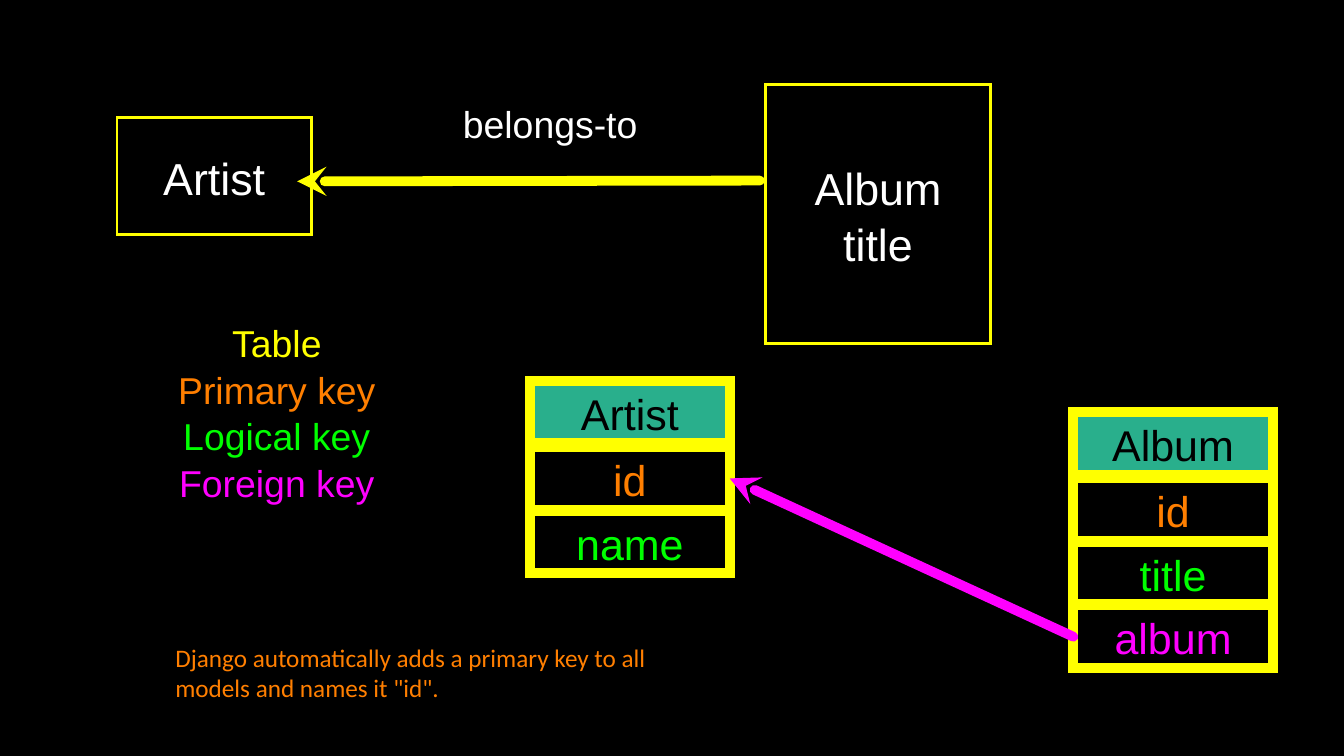
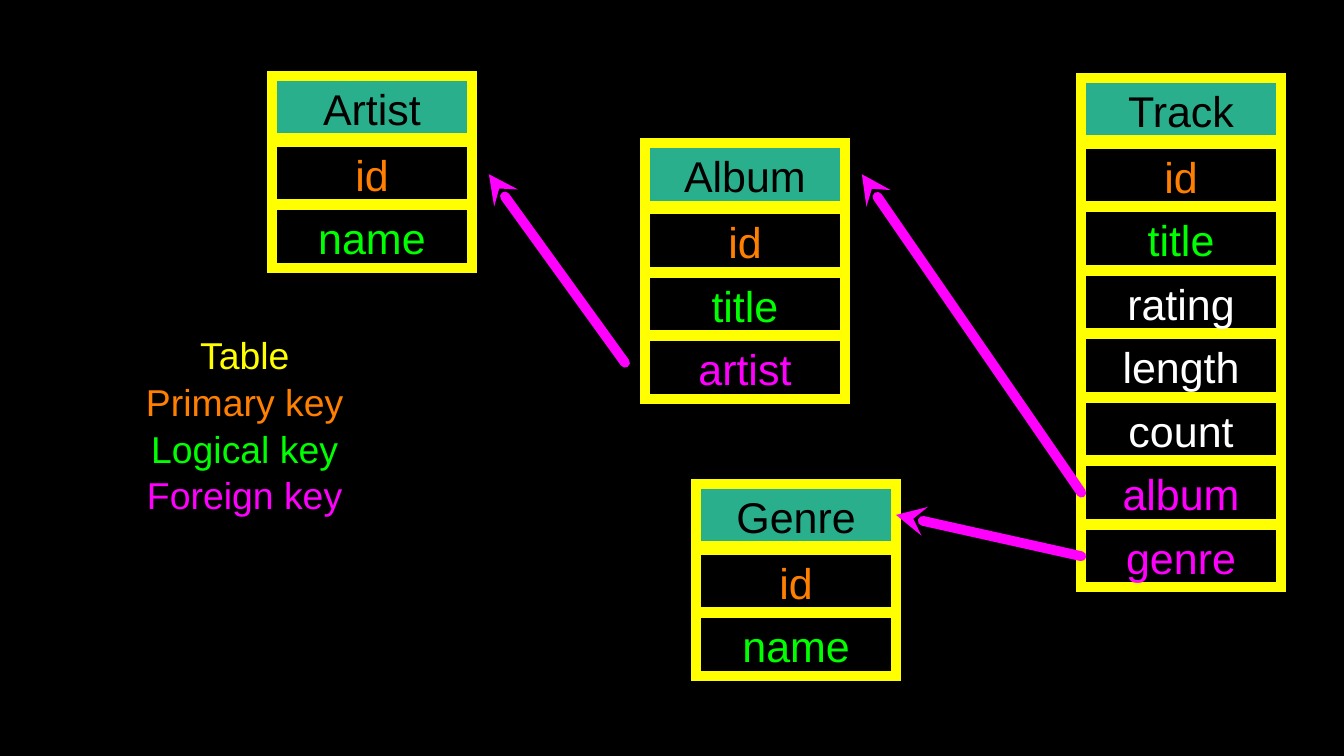
"""Draw two slides that show database tables, their keys and their relations."""
from lxml.etree import SubElement
from pptx import Presentation
from pptx.dml.color import RGBColor
from pptx.enum.shapes import MSO_CONNECTOR, MSO_SHAPE
from pptx.enum.text import MSO_ANCHOR, PP_ALIGN
from pptx.oxml.ns import qn
from pptx.util import Cm, Pt

COLOURS = {
    "background": "000000",
    "plain": "FFFFFF",
    "table": "FFFF00",
    "header": "29AF8C",
    "heading": "000000",
    "primary": "FF7F00",
    "logical": "00FF00",
    "foreign": "FF00FF",
}
LEGEND = [
    ("Table", "table"),
    ("Primary key", "primary"),
    ("Logical key", "logical"),
    ("Foreign key", "foreign"),
]
ROW_WIDTH, ROW_HEIGHT = 5.03, 1.57
HEADER_STEP, ROW_STEP = 1.67, 1.6
LEFT, RIGHT = 1, 3

DIAGRAM_TEXT = {"size": 26.7, "font": "Arial", "align": PP_ALIGN.CENTER, "spacing": 1.04}
ENTITY_TEXT = {**DIAGRAM_TEXT, "size": 32}
ROW_TEXT = {**DIAGRAM_TEXT, "size": 30.7}
NOTE_TEXT = {"size": 18, "font": "Calibri", "align": PP_ALIGN.LEFT, "spacing": None}
DIAGRAM_FRAME = {
    "word_wrap": True,
    "vertical_anchor": MSO_ANCHOR.MIDDLE,
    "margin_left": 0,
    "margin_top": 0,
    "margin_right": 0,
    "margin_bottom": 0,
}
NOTE_FRAME = {"word_wrap": True, "vertical_anchor": MSO_ANCHOR.TOP}

SLIDES = [
    {
        "entities": [
            ((19.3, 2.13, 5.66, 6.53), [("Album", "plain"), ("title", "plain")]),
            ((2.95, 2.97, 4.9, 2.95), [("Artist", "plain")]),
        ],
        "labels": [
            ((11.23, 2.44, 5.28, 1.3), [("belongs-to", "plain")]),
            ((3.68, 8.1, 6.6, 4.55), LEGEND),
        ],
        "tables": {
            "Artist": ((13.36, 9.6), [("id", "primary"), ("name", "logical")]),
            "Album": (
                (27.05, 10.39),
                [("id", "primary"), ("title", "logical"), ("album", "foreign")],
            ),
        },
        "arrows": [
            ((19.15, 4.55), (7.49, 4.57), "table"),
            (("Album", "album", LEFT), ("Artist", "id", RIGHT), "foreign"),
        ],
        "notes": [
            (
                (4.17, 16.05, 12.85, 1.8),
                [(
                    "Django automatically adds a primary key to all models "
                    'and names it "id".',
                    "primary",
                )],
            ),
        ],
    },
    {
        "entities": [],
        "labels": [((2.46, 8.41, 7.42, 4.55), LEGEND)],
        "tables": {
            "Artist": ((6.86, 1.91), [("id", "primary"), ("name", "logical")]),
            "Album": (
                (16.26, 3.61),
                [("id", "primary"), ("title", "logical"), ("artist", "foreign")],
            ),
            "Genre": ((17.55, 12.19), [("id", "primary"), ("name", "logical")]),
            "Track": (
                (27.25, 1.96),
                [
                    ("id", "primary"),
                    ("title", "logical"),
                    ("rating", "plain"),
                    ("length", "plain"),
                    ("count", "plain"),
                    ("album", "foreign"),
                    ("genre", "foreign"),
                ],
            ),
        },
        "arrows": [
            (("Track", "album", LEFT), (21.72, 4.39), "foreign"),
            (("Track", "genre", LEFT), ("Genre", "Genre", RIGHT), "foreign"),
            ((15.75, 9.14), (12.32, 4.39), "foreign"),
        ],
        "notes": [],
    },
]


def colour(name):
    return RGBColor.from_string(COLOURS[name])


def write_text(shape, lines, text_format, frame_format):
    frame = shape.text_frame
    for name, value in frame_format.items():
        setattr(frame, name, value)
    for index, (text, colour_name) in enumerate(lines):
        paragraph = frame.add_paragraph() if index else frame.paragraphs[0]
        paragraph.alignment = text_format["align"]
        paragraph.line_spacing = text_format["spacing"]
        run = paragraph.add_run()
        run.text = text
        run.font.name = text_format["font"]
        run.font.size = Pt(text_format["size"])
        run.font.color.rgb = colour(colour_name)


def add_text(slide, box, lines, text_format, frame_format):
    shape = slide.shapes.add_textbox(*map(Cm, box))
    write_text(shape, lines, text_format, frame_format)


def add_box(slide, box, lines, text_format, line_width, fill=None):
    shape = slide.shapes.add_shape(MSO_SHAPE.RECTANGLE, *map(Cm, box))
    shape.shadow.inherit = False
    if fill:
        shape.fill.solid()
        shape.fill.fore_color.rgb = colour(fill)
    else:
        shape.fill.background()
    shape.line.color.rgb = colour("table")
    shape.line.width = Pt(line_width)
    SubElement(shape.line._get_or_add_ln(), qn("a:miter"), lim="800000")
    write_text(shape, lines, text_format, DIAGRAM_FRAME)
    return shape


def add_table_diagram(slide, title, position, fields):
    """Stack a header and its field rows, and return the rows by name."""
    left, top = position
    rows = {}
    for index, (name, kind) in enumerate([(title, "heading"), *fields]):
        offset = HEADER_STEP + (index - 1) * ROW_STEP if index else 0
        box = (left, top + offset, ROW_WIDTH, ROW_HEIGHT)
        fill = None if index else "header"
        rows[name] = add_box(slide, box, [(name, kind)], ROW_TEXT, 7, fill)
    return rows


def add_arrow(slide, tables, start, end, colour_name):
    points = [Cm(value) if len(place) == 2 else 0 for place in (start, end) for value in place[:2]]
    arrow = slide.shapes.add_connector(MSO_CONNECTOR.STRAIGHT, *points)
    for place, connect in ((start, arrow.begin_connect), (end, arrow.end_connect)):
        if len(place) == 3:
            table, row, side = place
            connect(tables[table][row], side)
    arrow.line.color.rgb = colour(colour_name)
    arrow.line.width = Pt(7)
    line = arrow.line._get_or_add_ln()
    line.set("cap", "rnd")
    SubElement(line, qn("a:round"))
    SubElement(line, qn("a:tailEnd"), type="stealth")
    SubElement(arrow._element.spPr, qn("a:effectLst"))


def add_slide(presentation, content):
    slide = presentation.slides.add_slide(presentation.slide_layouts[6])
    for box, lines in content["entities"]:
        add_box(slide, box, lines, ENTITY_TEXT, 2)
    for box, lines in content["labels"]:
        add_text(slide, box, lines, DIAGRAM_TEXT, DIAGRAM_FRAME)
    tables = {
        title: add_table_diagram(slide, title, position, fields)
        for title, (position, fields) in content["tables"].items()
    }
    for start, end, colour_name in content["arrows"]:
        add_arrow(slide, tables, start, end, colour_name)
    for box, lines in content["notes"]:
        add_text(slide, box, lines, NOTE_TEXT, NOTE_FRAME)


def main():
    presentation = Presentation()
    presentation.slide_width, presentation.slide_height = Cm(33.87), Cm(19.05)
    background = presentation.slide_master.background.fill
    background.solid()
    background.fore_color.rgb = colour("background")
    for content in SLIDES:
        add_slide(presentation, content)
    presentation.save("out.pptx")


if __name__ == "__main__":
    main()
